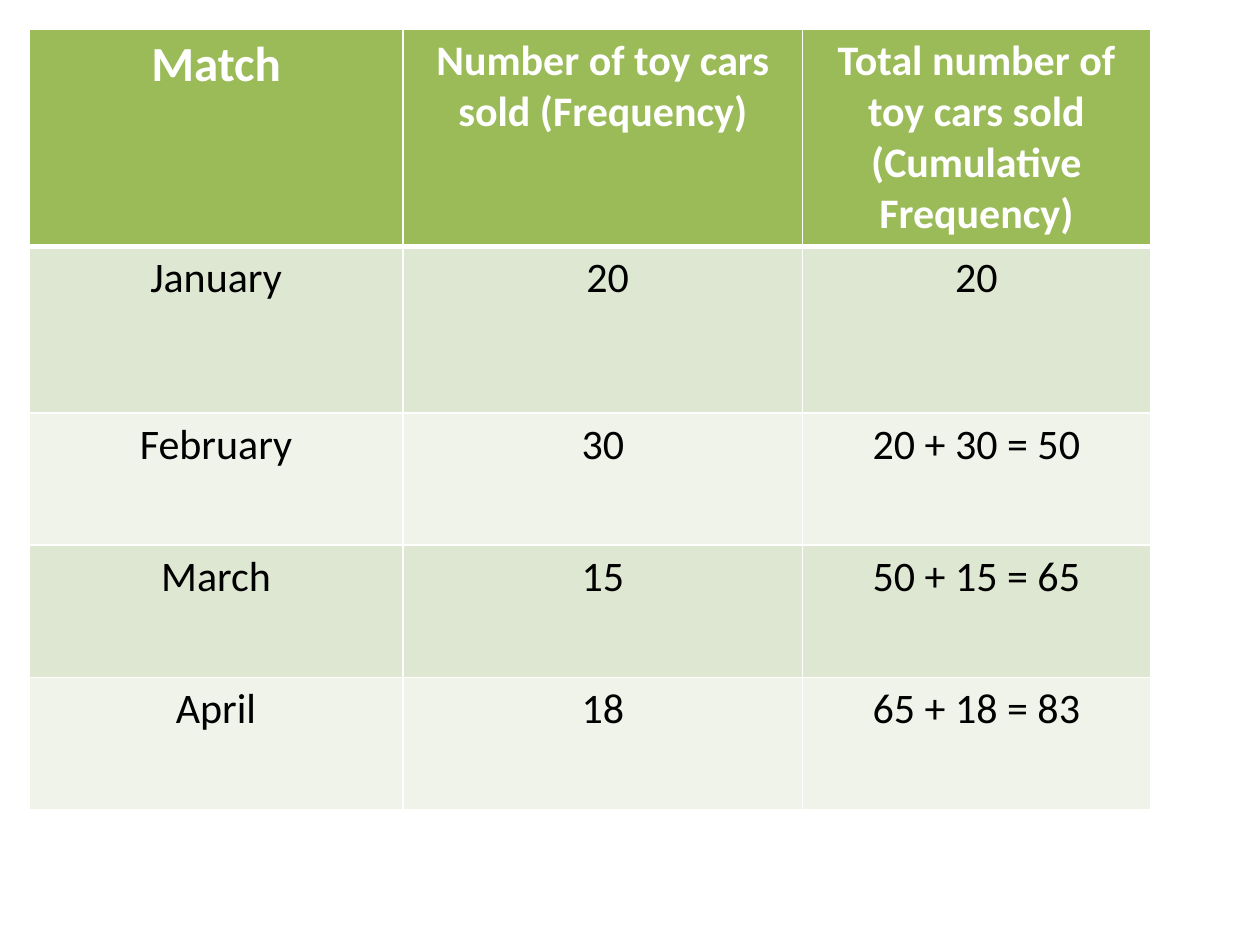
import pptx
import pptx.dml.color
import pptx.enum.text
import pptx.oxml
import pptx.oxml.ns
import pptx.util
from pptx.util import Inches

HEADINGS = [
    "Match",
    "Number of toy cars sold (Frequency)",
    "Total number of toy cars sold (Cumulative Frequency)",
]
MONTHLY_SALES = [
    ["January", " 20", "20"],
    ["February", "30", "20 + 30 = 50"],
    ["March", "15", "50 + 15 = 65"],
    ["April", "18", "65 + 18 = 83"],
]
COLUMN_WIDTHS = [2.97, 3.17, 2.76]
ROW_HEIGHTS = [1.72, 1.32, 1.05, 1.05, 1.05]


def color(value):
    return pptx.dml.color.RGBColor.from_string(value)


class SlideBuilder:
    """Holds the table style and the slide being built."""

    font = "Calibri"
    header_fill = "9BBB59"
    band_fills = ["DEE7D1", "EFF3EA"]
    border = "FFFFFF"

    def __init__(self, slide):
        self.slide = slide

    def borders(self, cell, top, bottom):
        properties = cell._tc.get_or_add_tcPr()
        sides = [("lnL", 1), ("lnR", 1), ("lnT", top), ("lnB", bottom)]
        for position, (side, points) in enumerate(sides):
            line = pptx.oxml.parse_xml(
                f'<a:{side} {pptx.oxml.ns.nsdecls("a")} w="{pptx.util.Pt(points)}">'
                f'<a:solidFill><a:srgbClr val="{self.border}"/></a:solidFill></a:{side}>'
            )
            properties.insert(position, line)

    def cell(self, cell, text, size, ink, fill, bold):
        cell.fill.solid()
        cell.fill.fore_color.rgb = color(fill)
        paragraph = cell.text_frame.paragraphs[0]
        paragraph.alignment = pptx.enum.text.PP_ALIGN.CENTER
        run = paragraph.add_run()
        run.text = text
        run.font.name = self.font
        run.font.size = pptx.util.Pt(size)
        run.font.bold = bold
        run.font.color.rgb = color(ink)

    def table(self, left, top, widths, heights, headings, records):
        table = self.slide.shapes.add_table(
            len(heights), len(widths), Inches(left), Inches(top),
            Inches(sum(widths)), Inches(sum(heights)),
        ).table
        for column, width in zip(table.columns, widths):
            column.width = Inches(width)
        for row, height in zip(table.rows, heights):
            row.height = Inches(height)
        for c, heading in enumerate(headings):
            cell = table.cell(0, c)
            size = 28 if c == 0 else 24
            self.cell(cell, heading, size, "FFFFFF", self.header_fill, True)
            self.borders(cell, top=1, bottom=3)
        for r, record in enumerate(records, start=1):
            for c, text in enumerate(record):
                cell = table.cell(r, c)
                fill = self.band_fills[(r - 1) % 2]
                self.cell(cell, text, 24, "000000", fill, False)
                self.borders(cell, top=3 if r == 1 else 1, bottom=1)


def main():
    deck = pptx.Presentation()
    deck.slide_width, deck.slide_height = Inches(10), Inches(7.5)
    builder = SlideBuilder(deck.slides.add_slide(deck.slide_layouts[6]))
    builder.table(0.23, 0.23, COLUMN_WIDTHS, ROW_HEIGHTS, HEADINGS, MONTHLY_SALES)
    deck.save("out.pptx")


if __name__ == "__main__":
    main()
